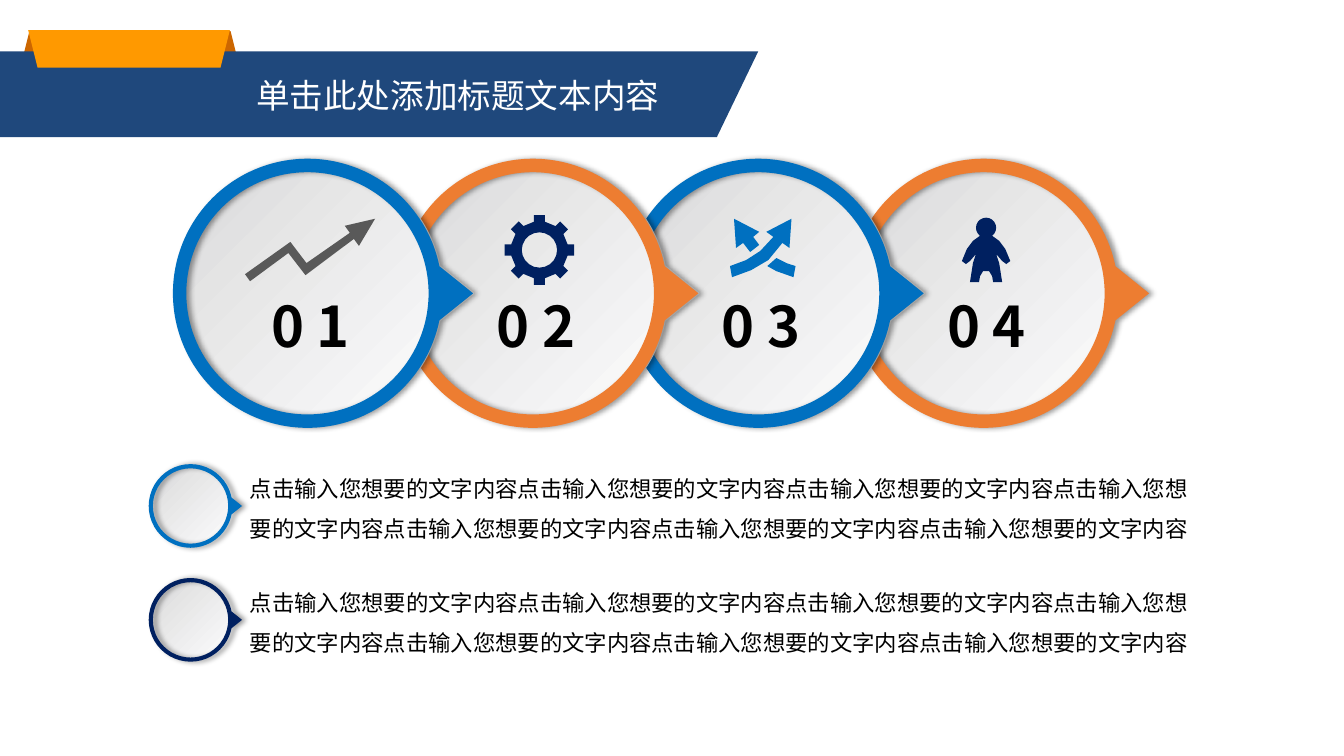
import math
from lxml import etree
from pptx import Presentation, util as u
from pptx.dml.color import RGBColor
from pptx.enum import shapes, text
from pptx.oxml import ns

BLUE = RGBColor(0x00, 0x70, 0xC0)
ORANGE = RGBColor(0xED, 0x7D, 0x31)
NAVY = RGBColor(0x00, 0x20, 0x60)
GREY = RGBColor(0x59, 0x59, 0x59)
BANNER = RGBColor(0x1F, 0x48, 0x7C)
RIBBON = RGBColor(0xFF, 0x99, 0x00)
RIBBON_BACK = RGBColor(0xCC, 0x66, 0x00)
SILVER = RGBColor(0xD9, 0xD9, 0xDA)
WHITE = RGBColor(0xFF, 0xFF, 0xFF)
BLACK = RGBColor(0x00, 0x00, 0x00)
FONT = "Noto Sans CJK SC"
SHADOW = (
    f'<a:effectLst {ns.nsdecls("a")}><a:outerShdw blurRad="50800" dist="38100" dir="0">'
    '<a:srgbClr val="000000"><a:alpha val="40000"/></a:srgbClr></a:outerShdw></a:effectLst>')
# Pointed circle of radius 1000 in a 2230 by 2000 field, and the round hole of a ring
DROP = ('<a:moveTo><a:pt x="1980" y="1201"/></a:moveTo>'
        '<a:arcTo wR="1000" hR="1000" stAng="696000" swAng="20208000"/>'
        '<a:lnTo><a:pt x="2230" y="1000"/></a:lnTo><a:close/>')
HOLE = ('<a:moveTo><a:pt x="1900" y="1000"/></a:moveTo>'
        '<a:arcTo wR="900" hR="900" stAng="0" swAng="-10800000"/>'
        '<a:arcTo wR="900" hR="900" stAng="10800000" swAng="-10800000"/><a:close/>')

prs = Presentation()
prs.slide_width, prs.slide_height = u.Inches(13.33), u.Inches(7.5)
s = prs.slides.add_slide(prs.slide_layouts[5])


def arc(cx, cy, radius, start, end):
    """Points along a small circle, angles in degrees, clockwise when end > start."""
    steps = round(abs(end - start) / 18)
    angles = [math.radians(start + (end - start) * i / steps) for i in range(steps + 1)]
    return [(cx + radius * math.cos(a), cy + radius * math.sin(a)) for a in angles]


def outline(contours, color):
    """Closed freeform of one or more contours, given in inches."""
    builder = None
    for contour in contours:
        points = [(u.Inches(x), u.Inches(y)) for x, y in contour]
        if builder is None:
            builder = s.shapes.build_freeform(*points[0], scale=1.0)
        else:
            builder.move_to(*points[0])
        builder.add_line_segments(points[1:], close=True)
    sp = builder.convert_to_shape()
    sp.shadow.inherit = False
    sp.fill.solid()
    sp.fill.fore_color.rgb = color
    sp.line.fill.background()
    return sp


# Icons, one per big circle
trend = [[(3.72, 2.17), (3.42, 2.24), (3.47, 2.31), (3.04, 2.61), (2.88, 2.4), (2.43, 2.72),
          (2.48, 2.79), (2.86, 2.51), (3.03, 2.73), (3.51, 2.37), (3.56, 2.44)]]

gear_x, gear_y = 5.35, 2.48
teeth = []
for angle in range(0, 360, 45):
    c, d = math.cos(math.radians(angle)), math.sin(math.radians(angle))
    for along, across in ((0.28, -0.055), (0.345, -0.055), (0.345, 0.055), (0.28, 0.055)):
        teeth.append((gear_x + along * c - across * d, gear_y + along * d + across * c))
gear = [teeth, arc(gear_x, gear_y, 0.175, 360, 0)]

crossing = [
    [(7.37, 2.41), (7.44, 2.5), (7.53, 2.43), (7.47, 2.35), (7.53, 2.3), (7.28, 2.17), (7.3, 2.46)],
    [(7.76, 2.41), (7.83, 2.46), (7.85, 2.17), (7.6, 2.3), (7.67, 2.35), (7.54, 2.49), (7.4, 2.58),
     (7.24, 2.64), (7.26, 2.75), (7.45, 2.68), (7.62, 2.58)],
    [(7.7, 2.56), (7.61, 2.64), (7.7, 2.69), (7.87, 2.75), (7.89, 2.64), (7.8, 2.61)]]

person_x = 9.78
half = arc(person_x, 2.26, 0.1, -90, 53) + [
    (9.91, 2.39), (9.97, 2.47), (10.02, 2.59), (9.98, 2.62), (9.94, 2.59), (9.88, 2.52),
    (9.91, 2.61), (9.94, 2.8), (9.85, 2.8), (9.84, 2.74), (9.81, 2.69)]
person = [half + [(2 * person_x - x, y) for x, y in reversed(half)]]

# Pointed circles: centre, radius, colour, number, icon, icon colour; last step lies at the back
icons = [(trend, GREY), (gear, NAVY), (crossing, BLUE), (person, NAVY)]
rings = [(3.05 + 2.235 * i, 2.91, 1.335, (BLUE, ORANGE)[i % 2], f"0 {i + 1}", *icons[i])
         for i in reversed(range(4))]
rings += [(1.89, 5.02 + 1.13 * i, 0.415, color, None, None, None)
          for i, color in enumerate((BLUE, NAVY))]
texts = []
for cx, cy, radius, color, number, icon, icon_color in rings:
    corners = [(cx - radius, cy), (cx, cy - radius), (cx + 1.23 * radius, cy), (cx, cy + radius)]
    disc, ring = outline([corners], WHITE), outline([corners], color)
    for sp, curves in ((disc, DROP), (ring, DROP + HOLE)):
        track = sp.element.find(".//" + ns.qn("a:path"))
        track.set("w", "2230")
        track.set("h", "2000")
        track[:] = list(etree.fromstring(f'<a:path {ns.nsdecls("a")}>{curves}</a:path>'))

    disc.fill.gradient()
    disc.fill.gradient_angle = 315
    for stop, shade, place in zip(disc.fill.gradient_stops, (SILVER, WHITE), (0, 1)):
        stop.color.rgb = shade
        stop.position = place
    disc.line.color.rgb = WHITE
    disc.line.width = u.Pt(1.5)

    props = ring.element.spPr
    props.remove(props.find(ns.qn("a:effectLst")))
    props.append(etree.fromstring(SHADOW))
    if icon:
        outline(icon, icon_color)
        texts.append((cx - 0.46, 2.84, 1.06, 0.77, number, 40, True, 1))
    else:
        texts.append((2.38, cy - 0.49, 9.71, 0.99, "点击输入您想要的文字内容" * 7, 16, False, 1.5))

for left, top, width, height, words, size, bold, spacing in texts:
    box = s.shapes.add_textbox(*map(u.Inches, (left, top, width, height)))
    tf = box.text_frame
    tf.word_wrap = True
    p = tf.paragraphs[0]
    p.line_spacing = spacing
    r = p.add_run()
    r.text = words
    r.font.size, r.font.bold, r.font.name = u.Pt(size), bold, FONT
    r.font.color.rgb = BLACK
    etree.SubElement(r.font._element, ns.qn("a:ea"), typeface=FONT)

# Banner with its folded ribbon
for left, top, width, height, color, turn in ((0.16, 0.31, 2.26, 0.53, RIBBON_BACK, 0),
                                              (0.28, 0.3, 2, 0.37, RIBBON, 180)):
    if turn:
        outline([[(0, 0.51), (7.52, 0.51), (7.11, 1.36), (0, 1.36)]], BANNER)
    sp = s.shapes.add_shape(shapes.MSO_SHAPE.TRAPEZOID, *map(u.Inches, (left, top, width, height)))
    sp.rotation = turn
    sp.shadow.inherit = False
    sp.fill.solid()
    sp.fill.fore_color.rgb = color
    sp.line.fill.background()

title = s.shapes.title
s.shapes.element.append(title.element)
title.left, title.top, title.width, title.height = map(u.Inches, (2.41, 0.67, 4.31, 0.54))
tf = title.text_frame
tf.word_wrap = False
tf.auto_size = text.MSO_AUTO_SIZE.NONE
tf.margin_left = tf.margin_right = u.Inches(0.13)
tf.margin_top = tf.margin_bottom = u.Inches(0.07)
tf.vertical_anchor = text.MSO_ANCHOR.MIDDLE
p = tf.paragraphs[0]
p.alignment = text.PP_ALIGN.LEFT
r = p.add_run()
r.text = "单击此处添加标题文本内容"
r.font.size, r.font.name = u.Pt(24), "Arial"
r.font.color.rgb = WHITE

prs.save("out.pptx")
